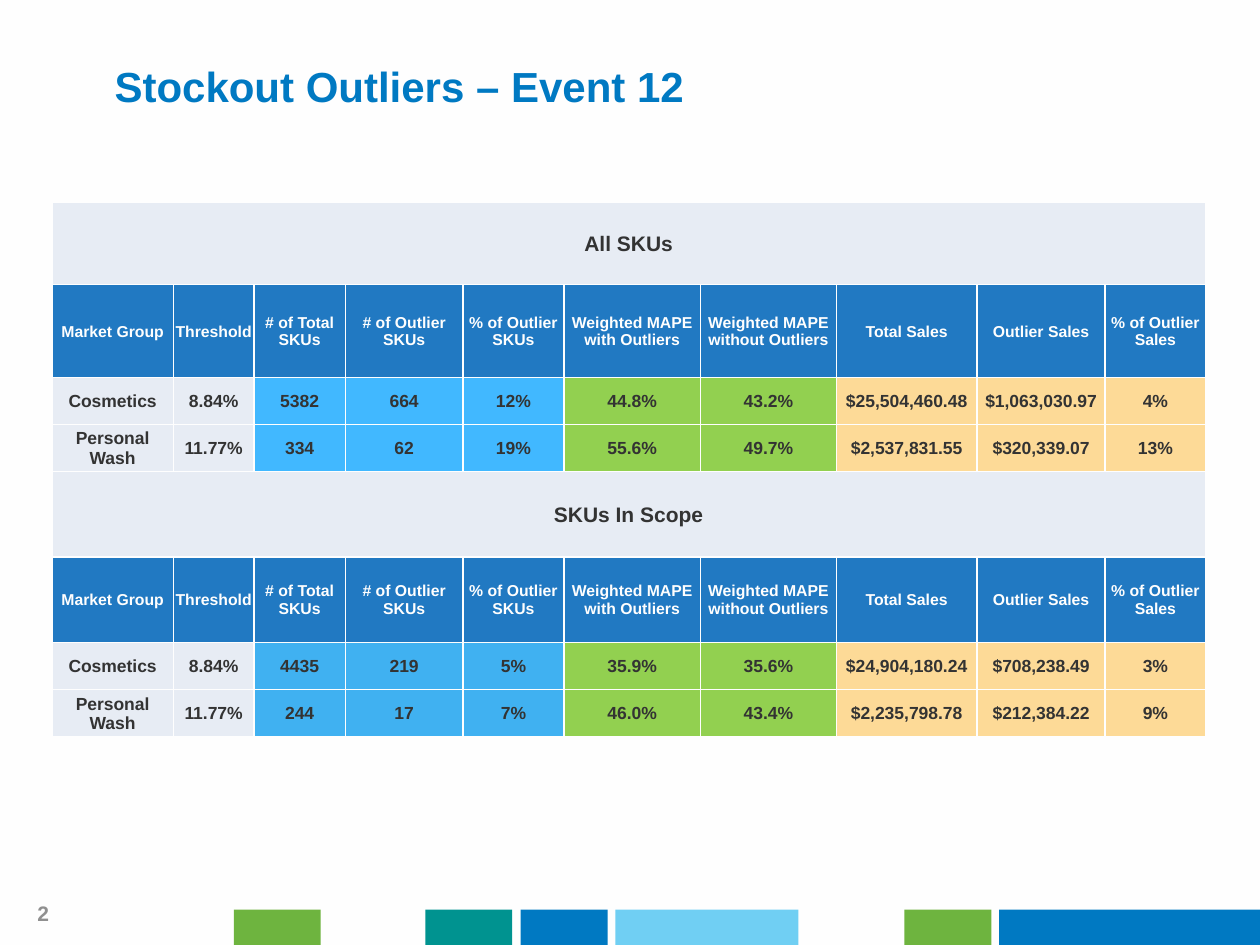
from lxml import etree
from pptx import Presentation
from pptx.dml.color import RGBColor
from pptx.enum.shapes import MSO_SHAPE
from pptx.enum.text import MSO_ANCHOR, PP_ALIGN
from pptx.oxml.ns import qn
from pptx.util import Pt

FONT = "Arial"
COLORS = {
    "white": "FEFEFE", "blue": "0079C2", "teal": "009390", "sky": "70CFF3",
    "green": "6EB43F", "gray": "909090", "ink": "333333", "header": "2179C2",
    "pale": "E7ECF4", "all_skus": "41B8FF", "in_scope": "40B1F1",
    "lime": "92D050", "sand": "FDDA97",
}
SLIDE_WIDTH, SLIDE_HEIGHT = 720, 540

BAR_TOP = 519.8
FOOTER_BARS = [  # left, width, colour
    (133.6, 49.7, "green"), (243, 49.7, "teal"), (297.5, 49.7, "blue"),
    (351.6, 104.6, "sky"), (516.8, 49.7, "green"), (571, 149, "blue"),
]

COLUMN_WIDTHS = [69.5, 46, 52.3, 67.2, 57.7, 78, 77.7, 80.3, 73.4, 57.3]
ROW_HEIGHTS = [47.1, 53.4, 26.7, 26.8, 49.1, 48.6, 27.1, 26.9]
HEADERS = [
    "Market Group", "Threshold", "# of Total SKUs", "# of Outlier SKUs",
    "% of Outlier SKUs", "Weighted MAPE with Outliers",
    "Weighted MAPE without Outliers", "Total Sales", "Outlier Sales",
    "% of Outlier Sales",
]
SECTIONS = [  # heading, colour of the SKU columns, data rows
    ("All SKUs", "all_skus", [
        ["Cosmetics", "8.84%", "5382", "664", "12%", "44.8%", "43.2%",
         "$25,504,460.48", "$1,063,030.97", "4%"],
        ["Personal Wash", "11.77%", "334", "62", "19%", "55.6%", "49.7%",
         "$2,537,831.55", "$320,339.07", "13%"],
    ]),
    ("SKUs In Scope", "in_scope", [
        ["Cosmetics", "8.84%", "4435", "219", "5%", "35.9%", "35.6%",
         "$24,904,180.24", "$708,238.49", "3%"],
        ["Personal Wash", "11.77%", "244", "17", "7%", "46.0%", "43.4%",
         "$2,235,798.78", "$212,384.22", "9%"],
    ]),
]


def rgb(name):
    """Return the named colour."""
    return RGBColor.from_string(COLORS[name])


def write(frame, text, size, color, align=PP_ALIGN.LEFT):
    """Write one bold paragraph into a text frame."""
    frame.word_wrap = True
    paragraph = frame.paragraphs[0]
    paragraph.alignment = align
    run = paragraph.add_run()
    run.text = text
    run.font.name = FONT
    run.font.size = Pt(size)
    run.font.bold = True
    run.font.color.rgb = rgb(color)


def add_text(slide, box, text, size, color, anchor=MSO_ANCHOR.TOP, top_inset=3.6):
    """Add a text box at (left, top, width, height)."""
    frame = slide.shapes.add_textbox(*map(Pt, box)).text_frame
    frame.vertical_anchor = anchor
    frame.margin_top = Pt(top_inset)
    write(frame, text, size, color)


def add_bar(slide, left, width, color):
    """Add a footer bar that reaches the bottom of the slide."""
    bar = slide.shapes.add_shape(MSO_SHAPE.RECTANGLE, Pt(left), Pt(BAR_TOP),
                                 Pt(width), Pt(SLIDE_HEIGHT - BAR_TOP))
    bar.shadow.inherit = False
    bar.fill.solid()
    bar.fill.fore_color.rgb = rgb(color)
    bar.line.fill.background()


def set_borders(cell):
    """Draw a thin white line on each side of a cell."""
    properties = cell._tc.get_or_add_tcPr()
    for index, side in enumerate(("lnL", "lnR", "lnT", "lnB")):
        line = etree.Element(qn(f"a:{side}"), w=str(Pt(1)))
        fill = etree.SubElement(line, qn("a:solidFill"))
        etree.SubElement(fill, qn("a:srgbClr"), val=COLORS["white"])
        properties.insert(index, line)


def fill_cell(cell, text, size, color, fill):
    """Set the text, fill and borders of a table cell."""
    cell.margin_left = cell.margin_right = cell.margin_top = Pt(0.7)
    cell.margin_bottom = Pt(0)
    cell.vertical_anchor = MSO_ANCHOR.MIDDLE
    cell.fill.solid()
    cell.fill.fore_color.rgb = rgb(fill)
    write(cell.text_frame, text, size, color, PP_ALIGN.CENTER)
    set_borders(cell)


def add_section(table, top, heading, sku_color, rows):
    """Fill a heading row, a header row and the data rows from row top down."""
    last = len(HEADERS) - 1
    table.cell(top, 0).merge(table.cell(top, last))
    fill_cell(table.cell(top, 0), heading, 12, "ink", "pale")
    for column in range(1, last + 1):
        set_borders(table.cell(top, column))
    for column, text in enumerate(HEADERS):
        fill_cell(table.cell(top + 1, column), text, 9, "white", "header")
    fills = ["pale"] * 2 + [sku_color] * 3 + ["lime"] * 2 + ["sand"] * 3
    for row, values in enumerate(rows, top + 2):
        for column, (text, fill) in enumerate(zip(values, fills)):
            fill_cell(table.cell(row, column), text, 10, "ink", fill)


def add_outlier_table(slide):
    """Add the table with its two sections."""
    table = slide.shapes.add_table(
        len(ROW_HEIGHTS), len(COLUMN_WIDTHS), Pt(29.6), Pt(115.4),
        Pt(sum(COLUMN_WIDTHS)), Pt(sum(ROW_HEIGHTS))).table
    table.first_row = table.horz_banding = False
    for column, width in zip(table.columns, COLUMN_WIDTHS):
        column.width = Pt(width)
    for row, height in zip(table.rows, ROW_HEIGHTS):
        row.height = Pt(height)
    top = 0
    for heading, sku_color, rows in SECTIONS:
        add_section(table, top, heading, sku_color, rows)
        top += len(rows) + 2


def main():
    """Build and save the slide."""
    deck = Presentation()
    deck.slide_width, deck.slide_height = Pt(SLIDE_WIDTH), Pt(SLIDE_HEIGHT)
    slide = deck.slides.add_slide(deck.slide_layouts[6])
    slide.background.fill.solid()
    slide.background.fill.fore_color.rgb = rgb("white")
    for left, width, color in FOOTER_BARS:
        add_bar(slide, left, width, color)
    add_text(slide, (58.4, 28.8, 612, 28.8), "Stockout Outliers – Event 12",
             24, "blue", top_inset=6)
    add_text(slide, (14.2, 503.3, 162, 36.7), "2", 12, "gray", MSO_ANCHOR.MIDDLE)
    add_outlier_table(slide)
    deck.save("out.pptx")


main()
